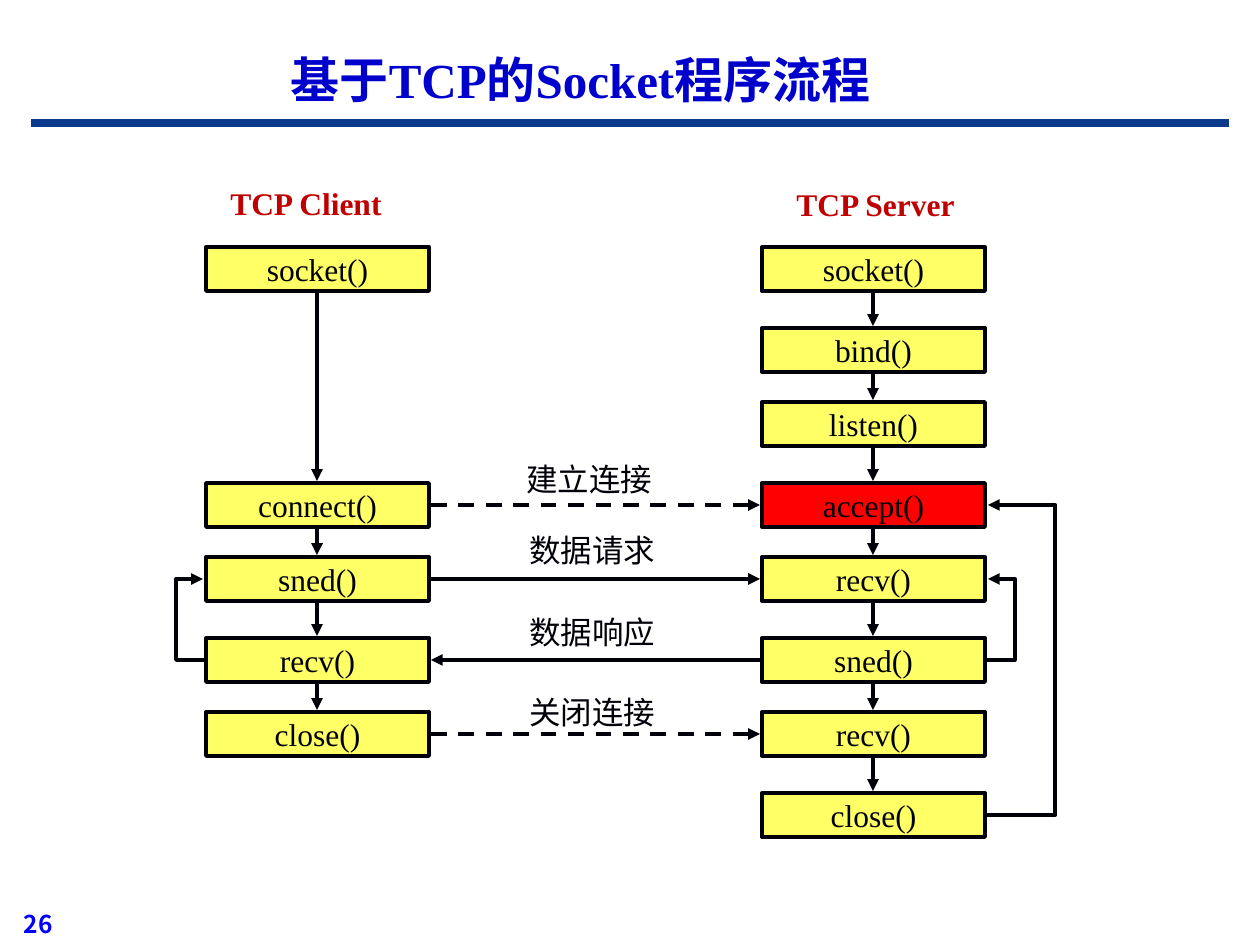
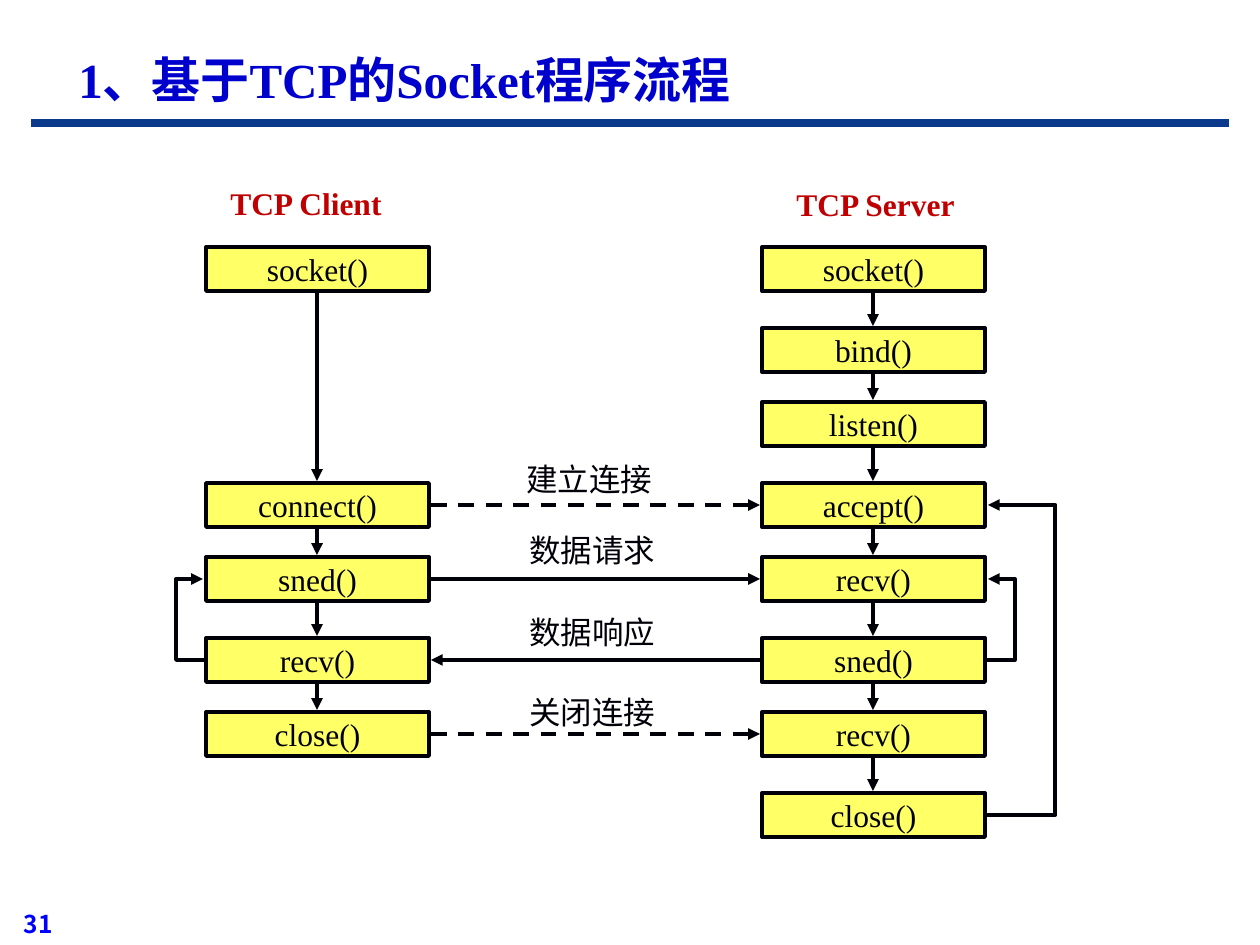
"""Build two slides that show the TCP socket call flow of a client and a server."""
from lxml.etree import SubElement
from pptx import Presentation
from pptx.dml.color import RGBColor
from pptx.enum.dml import MSO_LINE
from pptx.enum.shapes import MSO_CONNECTOR as CONN, MSO_SHAPE
from pptx.enum.text import MSO_ANCHOR as ANCHOR, PP_ALIGN as ALIGN
from pptx.oxml.ns import qn
from pptx.util import Emu, Pt

PX = 914400 / 126
SERIF, SANS = "Times New Roman", "Noto Sans CJK JP"
INK, YELLOW, RED = "000008", "FFFF66", "FF0000"
BAND, TITLE, HEADING, NUMBER = "0B398B", "0000CC", "C00000", "0000FF"
rgb = RGBColor.from_string

BOX_W, BOX_H = 223, 44
CLIENT_X, SERVER_X = 206, 762
ROWS = [247, 328, 402, 483, 557, 638, 712, 793]
CLIENT = {0: "socket()", 3: "connect()", 4: "sned()", 5: "recv()", 6: "close()"}
SERVER = dict(enumerate(["socket()", "bind()", "listen()", "accept()",
                         "recv()", "sned()", "recv()", "close()"]))
MESSAGES = [(3, "建立连接", 514, 454, 161, False, True),
            (4, "数据请求", 428, 525, 329, False, False),
            (5, "数据响应", 428, 607, 329, True, False),
            (6, "关闭连接", 428, 687, 329, False, True)]
LOOPS = [(204, -1, 5, 4, 28), (987, 1, 5, 4, 28), (987, 1, 7, 3, 69)]
SLIDES = [("基于TCP的Socket程序流程", 1029, ALIGN.CENTER, "26", RED),
          ("1、基于TCP的Socket程序流程", 798, ALIGN.LEFT, "31", YELLOW)]


def add_text(s, x, y, w, h, text, size=18, color=INK, bold=False, font=SERIF,
             align=ALIGN.CENTER, anchor=ANCHOR.TOP, fill=None):
    box = [Emu(round(v * PX)) for v in (x, y, w, h)]
    if fill:
        sp = s.shapes.add_shape(MSO_SHAPE.RECTANGLE, *box)
        sp.shadow.inherit = False
        sp.fill.solid()
        sp.fill.fore_color.rgb = rgb(fill)
        sp.line.color.rgb = rgb(INK)
        sp.line.width = Pt(2.25)
    else:
        sp = s.shapes.add_textbox(*box)
    tf = sp.text_frame
    tf.text = text
    tf.word_wrap = not fill
    tf.vertical_anchor = anchor
    p = tf.paragraphs[0]
    p.alignment = align
    r = p.runs[0]
    r.font.name, r.font.size, r.font.bold = font, Pt(size), bold
    r.font.color.rgb = rgb(color)
    SubElement(r.font._element, qn("a:ea"), typeface=SANS)


def add_line(s, x1, y1, x2, y2, color=INK, width=2.25, arrow=True, dash=False, bend=0):
    kind = CONN.ELBOW if bend else CONN.STRAIGHT
    c = s.shapes.add_connector(kind, *[Emu(round(v * PX)) for v in (x1, y1, x2, y2)])
    c.line.color.rgb = rgb(color)
    c.line.width = Pt(width)
    if dash:
        c.line.dash_style = MSO_LINE.DASH
    spPr = c._element.spPr
    if arrow:
        SubElement(c.line._get_or_add_ln(), qn("a:tailEnd"), type="triangle")
    if bend:
        guides = spPr.find(qn("a:prstGeom")).get_or_add_avLst()
        ratio = round(bend / abs(x2 - x1) * 100000)
        SubElement(guides, qn("a:gd"), name="adj1", fmla=f"val {ratio}")
    SubElement(spPr, qn("a:effectLst"))


prs = Presentation()
prs.slide_width, prs.slide_height = Emu(round(1260 * PX)), Emu(round(945 * PX))

for title, title_w, title_align, number, accept_fill in SLIDES:
    s = prs.slides.add_slide(prs.slide_layouts[6])
    add_text(s, 0, 892, 65, 53, number, 14, NUMBER, True, SANS, ALIGN.RIGHT, ANCHOR.BOTTOM)
    add_line(s, 31, 123, 1229, 123, BAND, 4.5, arrow=False)
    add_text(s, 66, 40, title_w, 78, title, 28, TITLE, True,
             align=title_align, anchor=ANCHOR.MIDDLE)
    add_text(s, 149, 178, 314, 50, "TCP Client", color=HEADING, bold=True)
    add_text(s, 709, 179, 333, 50, "TCP Server", color=HEADING, bold=True)

    for x, calls in ((CLIENT_X, CLIENT), (SERVER_X, SERVER)):
        for row, call in calls.items():
            fill = accept_fill if call == "accept()" else YELLOW
            add_text(s, x, ROWS[row], BOX_W, BOX_H, call, anchor=ANCHOR.MIDDLE, fill=fill)
        rows = list(calls)
        mid = x + BOX_W // 2
        for above, below in zip(rows, rows[1:]):
            add_line(s, mid, ROWS[above] + BOX_H + 1, mid, ROWS[below] - 2)

    for x, side, start, end, reach in LOOPS:
        y1, y2 = (ROWS[row] + BOX_H // 2 for row in (start, end))
        add_line(s, x, y1, x + side, y2, bend=reach)

    for row, label, x, y, w, reply, dash in MESSAGES:
        mid = ROWS[row] + BOX_H // 2
        x1, x2 = (760, 431) if reply else (431, 760)
        add_line(s, x1, mid, x2, mid, dash=dash)
        align = ALIGN.LEFT if row == 3 else ALIGN.CENTER
        add_text(s, x, y, w, 50, label, align=align)

prs.save("out.pptx")
